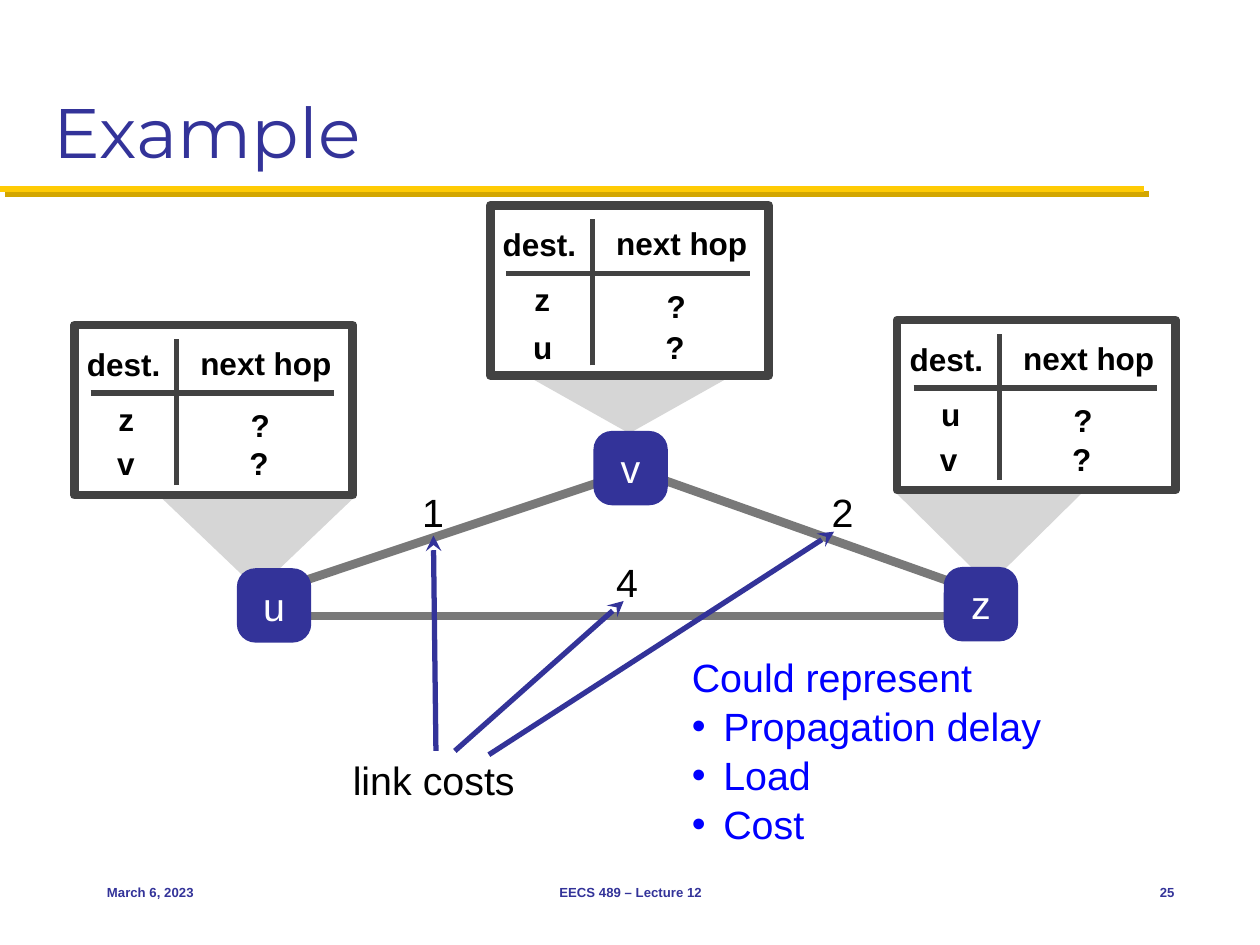
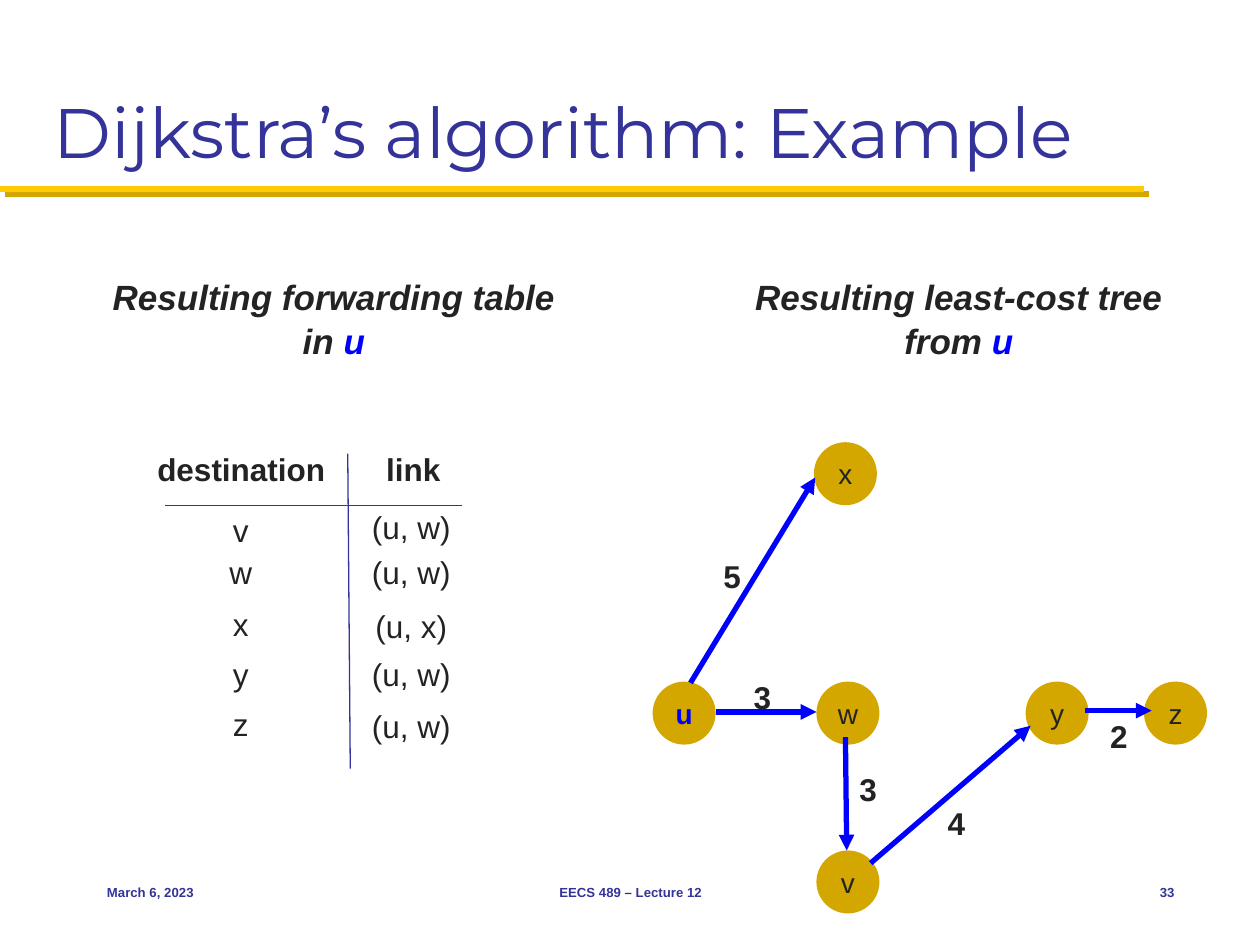
from lxml.etree import SubElement
from pptx import Presentation
from pptx.dml.color import RGBColor
from pptx.enum.shapes import MSO_CONNECTOR as Connector, MSO_SHAPE as Preset
from pptx.enum.text import MSO_ANCHOR as Anchor, PP_ALIGN as Align
from pptx.oxml.ns import qn
from pptx.util import Inches, Pt

# Shared colours and text formats
NAVY, GOLD, DARK_GOLD, BLUE = "333399", "FFCB05", "D3A600", "0000FF"
BLACK, WHITE, INK = "000000", "FFFFFF", "232323"
FRAME_GREY, LINK_GREY, CALLOUT_GREY = "424242", "797979", "D6D6D6"

TITLE = {"name": "Montserrat", "size": Pt(40)}
FOOTER = {"name": "Arial", "size": Pt(7.5), "bold": True}
HEADING = {"name": "Arial", "size": Pt(20), "bold": True, "italic": True}
LABEL = {"name": "Arial", "size": Pt(22.5)}
CELL = {"name": "Arial", "size": Pt(18)}
STRONG_CELL = {**CELL, "bold": True}
NODE = {"name": "Arial", "size": Pt(16)}
WIDE_INSETS = (0.1, 0.05)
TIGHT_INSETS = (0.04, 0.04)


def color(hex_string):
    return RGBColor.from_string(hex_string)


def set_values(target, values):
    for name, value in values.items():
        setattr(target, name, value)


# Text
def add_run(paragraph, text, font_format, hex_string):
    run = paragraph.add_run()
    run.text = text
    set_values(run.font, font_format)
    run.font.color.rgb = color(hex_string)


def set_frame(frame, insets, anchor, wrap=True):
    side, end = map(Inches, insets)
    set_values(frame, {
        "margin_left": side, "margin_right": side,
        "margin_top": end, "margin_bottom": end,
        "vertical_anchor": anchor, "word_wrap": wrap,
    })


def add_text(slide, box, paragraphs, font_format, hex_string, align=Align.LEFT,
             anchor=Anchor.TOP, insets=WIDE_INSETS, wrap=True):
    """Each paragraph is a list of (text, colour) runs or a plain string."""
    frame = slide.shapes.add_textbox(*map(Inches, box)).text_frame
    set_frame(frame, insets, anchor, wrap)
    for index, runs in enumerate(paragraphs):
        paragraph = frame.add_paragraph() if index else frame.paragraphs[0]
        paragraph.alignment = align
        if index:
            paragraph.space_before = Pt(1.1)
        for text, run_color in [(runs, hex_string)] if isinstance(runs, str) else runs:
            add_run(paragraph, text, font_format, run_color)
    return frame


def add_label(slide, box, text, font_format=LABEL):
    add_text(slide, box, [text], font_format, BLACK,
             anchor=Anchor.MIDDLE, insets=TIGHT_INSETS)


def add_bullet(paragraph, indent):
    properties = paragraph._p.get_or_add_pPr()
    properties.set("marL", str(Inches(indent)))
    properties.set("indent", str(-Inches(indent)))
    SubElement(properties, qn("a:buFont")).set("typeface", "Arial")
    SubElement(properties, qn("a:buChar")).set("char", "•")


# Lines and shapes
def add_line(slide, start, end, hex_string, width, arrow=None):
    line = slide.shapes.add_connector(
        Connector.STRAIGHT, *map(Inches, (*start, *end)))
    line.line.color.rgb = color(hex_string)
    line.line.width = Pt(width)
    if arrow:
        SubElement(line.line._get_or_add_ln(), qn("a:tailEnd")).set("type", arrow)
    return SubElement(line._element.spPr, qn("a:effectLst"))


def style_shape(shape, fill=None, line=None, width=1):
    shape.shadow.inherit = False
    for part, hex_string in ((shape.fill, fill), (shape.line.fill, line)):
        if hex_string:
            part.solid()
            part.fore_color.rgb = color(hex_string)
        else:
            part.background()
    if line:
        shape.line.width = Pt(width)


def add_node(slide, preset, position, size, fill, text, font_format, hex_string):
    node = slide.shapes.add_shape(preset, *map(Inches, (*position, size, size)))
    style_shape(node, fill)
    set_frame(node.text_frame, (0, 0), Anchor.MIDDLE, wrap=False)
    paragraph = node.text_frame.paragraphs[0]
    paragraph.alignment = Align.CENTER
    add_run(paragraph, text, font_format, hex_string)
    return node


def add_callout(slide, left, top, width, height):
    """Triangle that points down from a table to its router."""
    corners = [(left, top), (left + width, top), (left + width / 2, top + height)]
    start, *others = [tuple(map(Inches, corner)) for corner in corners]
    builder = slide.shapes.build_freeform(*start, scale=1.0)
    builder.add_line_segments(others, close=True)
    style_shape(builder.convert_to_shape(), CALLOUT_GREY)


# Shared slide frame: title, gold band, footer
def add_base_slide(presentation, title, number):
    slide = presentation.slides.add_slide(presentation.slide_layouts[6])
    effects = add_line(slide, (0, 1.5), (9.08, 1.5), GOLD, 3.5)
    shadow = SubElement(effects, qn("a:outerShdw"), dist=str(Pt(4.2) * 1),
                        dir="2700000", algn="ctr", rotWithShape="0")
    SubElement(shadow, qn("a:srgbClr")).set("val", DARK_GOLD)
    add_text(slide, (0.33, 0.17, 9.33, 1.25), [title], TITLE, NAVY,
             anchor=Anchor.BOTTOM)
    for left, width, text, align in (
            (0.75, 2.08, "March 6, 2023", Align.LEFT),
            (3.42, 3.17, "EECS 489 – Lecture 12", Align.CENTER),
            (8.75, 0.67, str(number), Align.RIGHT)):
        add_text(slide, (left, 6.83, width, 0.5), [text], FOOTER, NAVY,
                 align, Anchor.MIDDLE)
    return slide


# Slide: routers with unknown next hops
def add_hop_table(slide, left, top, destinations, second_row):
    frame = slide.shapes.add_shape(
        Preset.RECTANGLE, *map(Inches, (left, top, 2.21, 1.35)))
    style_shape(frame, line=FRAME_GREY, width=5)
    for start, end in (((0.13, 0.54), (2.06, 0.54)), ((0.81, 1.27), (0.81, 0.11))):
        add_line(slide, (left + start[0], top + start[1]),
                 (left + end[0], top + end[1]), FRAME_GREY, 3)
    cells = [(0.06, 0.08, 1.56, 0.46, "dest."), (0.96, 0.07, 1.23, 0.46, "next hop")]
    first, second = destinations
    cells += [(0.31, 0.49, 0.49, 0.51, first), (1.36, 0.54, 0.26, 0.51, "?"),
              (0.30, second_row, 0.49, 0.51, second),
              (1.35, second_row, 0.26, 0.51, "?")]
    for x, y, width, height, text in cells:
        add_label(slide, (left + x, top + y, width, height), text, STRONG_CELL)


def build_routers_slide(presentation):
    slide = add_base_slide(presentation, "Example", 25)
    for callout in ((7.12, 3.92, 1.46, 0.72), (4.23, 3.01, 1.53, 0.43),
                    (1.28, 3.95, 1.53, 0.73)):
        add_callout(slide, *callout)

    # Links, routers and their tables
    for start, end in (((4.87, 3.79), (2.35, 4.63)), ((2.42, 4.89), (7.74, 4.89)),
                       ((5.21, 3.79), (7.75, 4.69))):
        add_line(slide, start, end, LINK_GREY, 5)
    for name, position in (("v", (4.71, 3.42)), ("u", (1.88, 4.51)),
                           ("z", (7.49, 4.5))):
        router = add_node(slide, Preset.ROUNDED_RECTANGLE, position, 0.59,
                          NAVY, name, LABEL, WHITE)
        router.adjustments[0] = 0.25
    for table in ((0.59, 2.58, "zv", 0.84), (7.12, 2.54, "uv", 0.85),
                  (3.89, 1.63, "zu", 0.87)):
        add_hop_table(slide, *table)

    # Link costs and what they stand for
    for cost, left, top in (("4", 4.85, 4.39), ("1", 3.31, 3.83), ("2", 6.56, 3.83)):
        add_label(slide, (left, top, 0.29, 0.46), cost)
    add_label(slide, (2.76, 5.96, 1.53, 0.46), "link costs")
    for start, end in (((3.46, 5.96), (3.44, 4.25)), ((3.61, 5.96), (4.95, 4.77)),
                       ((3.88, 5.99), (6.62, 4.22))):
        add_line(slide, start, end, NAVY, 3, "stealth")
    meanings = add_text(
        slide, (5.45, 5.16, 3.49, 1.59),
        ["Could represent", "Propagation delay", "Load", "Cost"],
        LABEL, BLUE, anchor=Anchor.MIDDLE, insets=TIGHT_INSETS)
    for paragraph in meanings.paragraphs[1:]:
        add_bullet(paragraph, 0.25)


# Slide: result of Dijkstra's algorithm
def add_centered(slide, box, paragraphs, font_format):
    add_text(slide, box, paragraphs, font_format, INK, Align.CENTER, wrap=False)


def add_forwarding_table(slide):
    for start, end in (((2.76, 3.6), (2.78, 6.1)), ((1.31, 4.01), (3.67, 4.01))):
        add_line(slide, start, end, NAVY, 0.75)
    add_centered(slide, (1.14, 3.52, 1.55, 0.4), ["destination"], STRONG_CELL)
    add_centered(slide, (2.96, 3.52, 0.64, 0.4), ["link"], STRONG_CELL)
    for destination, top, link, link_top in (
            ("v", 4.01, "(u, w)", 3.98), ("w", 4.34, "(u, w)", 4.34),
            ("x", 4.75, "(u, x)", 4.77), ("y", 5.15, "(u, w)", 5.15),
            ("z", 5.55, "(u, w)", 5.56)):
        add_centered(slide, (1.72, top, 0.38, 0.4), [destination], CELL)
        add_centered(slide, (2.85, link_top, 0.83, 0.4), [link], CELL)


def add_cost_tree(slide):
    for name, left, top in (("x", 6.46, 3.51), ("u", 5.18, 5.41), ("z", 9.08, 5.41),
                            ("v", 6.48, 6.75), ("y", 8.14, 5.41), ("w", 6.48, 5.41)):
        is_root = name == "u"
        add_node(slide, Preset.OVAL, (left, top), 0.5, DARK_GOLD, name,
                 {**NODE, "bold": is_root}, BLUE if is_root else INK)
    for cost, label, start, end in (
            ("2", (8.71, 5.64), (8.61, 5.64), (9.14, 5.64)),
            ("4", (7.42, 6.33), (6.91, 6.85), (8.18, 5.76)),
            ("3", (6.72, 6.06), (6.71, 5.85), (6.72, 6.75)),
            ("5", (5.64, 4.37), (5.48, 5.42), (6.47, 3.79)),
            ("3", (5.88, 5.33), (5.68, 5.65), (6.48, 5.65))):
        add_centered(slide, (*label, 0.34, 0.4), [cost], STRONG_CELL)
        add_line(slide, start, end, BLUE, 3, "triangle")


def build_dijkstra_slide(presentation):
    slide = add_base_slide(presentation, "Dijkstra’s algorithm: Example", 33)
    for left, width, heading, link_word in (
            (5.88, 3.46, "Resulting least-cost tree", "from "),
            (0.78, 3.74, "Resulting forwarding table", "in ")):
        add_centered(slide, (left, 2.14, width, 0.77),
                     [heading, [(link_word, INK), ("u", BLUE)]], HEADING)
    add_forwarding_table(slide)
    add_cost_tree(slide)


def main():
    presentation = Presentation()
    presentation.slide_width = Inches(10)
    presentation.slide_height = Inches(7.5)
    build_routers_slide(presentation)
    build_dijkstra_slide(presentation)
    presentation.save("out.pptx")


if __name__ == "__main__":
    main()
